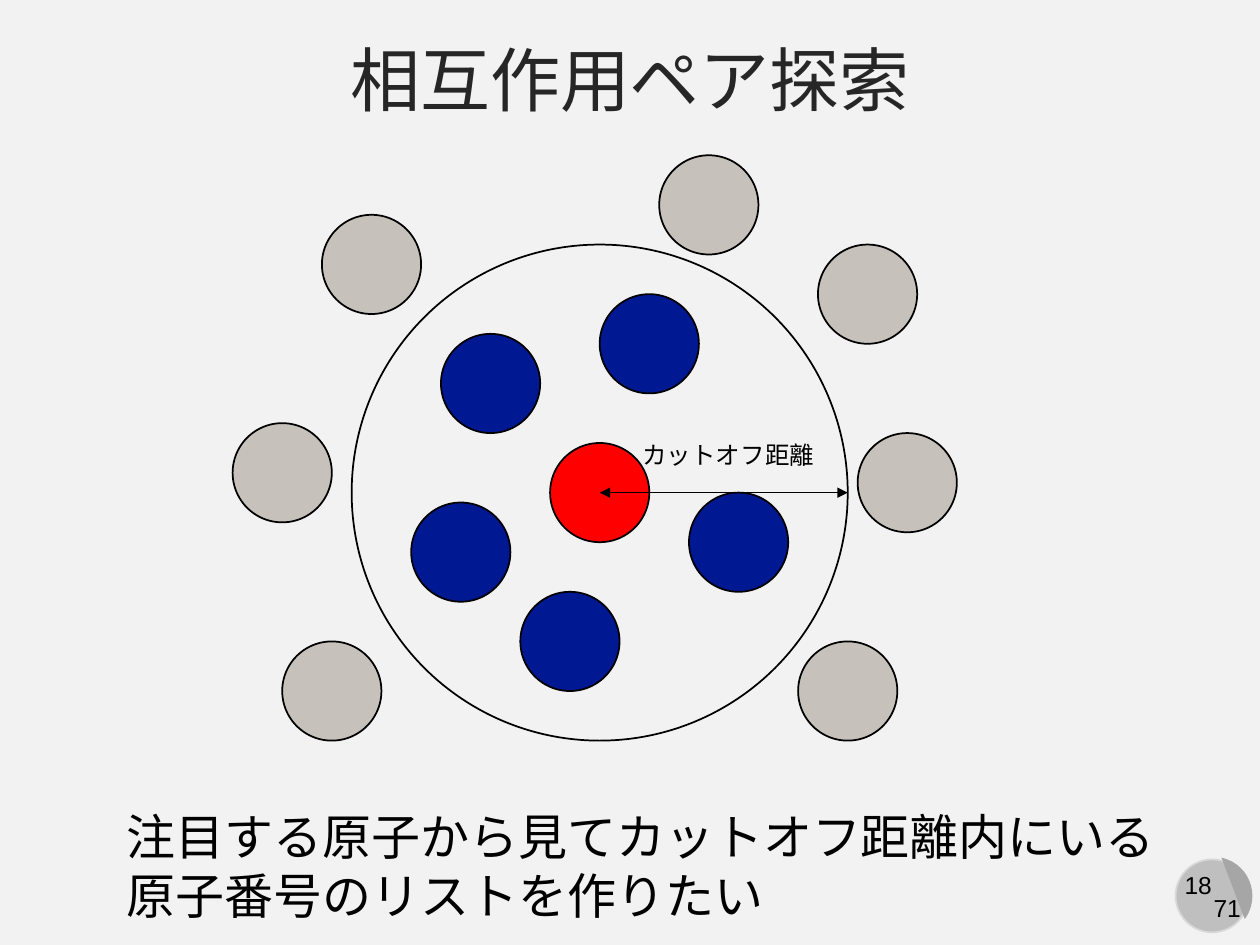
"""Build a slide that explains the search for interacting atom pairs within a cutoff distance."""
from dataclasses import dataclass

from lxml.etree import SubElement
from pptx import Presentation
from pptx.dml.color import RGBColor
from pptx.enum.shapes import MSO_CONNECTOR as Connector, MSO_SHAPE as Shape
from pptx.enum.text import MSO_ANCHOR as Anchor, PP_ALIGN as Align
from pptx.oxml.ns import qn
from pptx.util import Cm, Inches, Pt


@dataclass(frozen=True)
class Theme:
    font: str = "Arial"
    background: str = "F2F2F2"
    title: str = "262626"
    ink: str = "000000"
    focus: str = "FF0000"
    neighbour: str = "011893"
    outsider: str = "C6C1BA"
    badge: str = "BFBFBF"
    badge_edge: str = "D9D9D9"
    badge_half: str = "A6A6A6"
    title_size: int = 40
    body_size: int = 28
    small_size: int = 14


THEME = Theme()
TITLE = "相互作用ペア探索"
MESSAGE = "注目する原子から見てカットオフ距離内にいる原子番号のリストを作りたい"
CUTOFF_LABEL = "カットオフ距離"
PAGE_LABELS = [("18", 9.29, 6.86, 0.44), ("71", 9.53, 7.04, 0.42)]

UNIT = Cm(0.2)
CENTRE_X, CENTRE_Y = Inches(4.76), Inches(3.91)
ATOM_RADIUS, CUTOFF_RADIUS = 5, 25
NEIGHBOURS = [(5, -15), (-11, -11), (14, 5), (-3, 15), (-14, 6)]
OUTSIDERS = [(-23, -23), (11, -29), (27, -20), (-32, -2), (-27, 20), (31, -1), (25, 20)]


def colour(code):
    return RGBColor.from_string(code)


def style_text(frame, text, size, code, align):
    frame.text = text
    paragraph = frame.paragraphs[0]
    paragraph.alignment = align
    paragraph.font.name = THEME.font
    paragraph.font.size = Pt(size)
    paragraph.font.color.rgb = colour(code)


def add_text(slide, text, left, top, width, height, size, align=Align.LEFT, wrap=False):
    box = slide.shapes.add_textbox(*map(Inches, (left, top, width, height)))
    box.text_frame.word_wrap = wrap
    style_text(box.text_frame, text, size, THEME.ink, align)


def add_shape(slide, kind, left, top, size, fill=None, line=None):
    shape = slide.shapes.add_shape(kind, left, top, size, size)
    shape.shadow.inherit = False
    if fill:
        shape.fill.solid()
        shape.fill.fore_color.rgb = colour(fill)
    else:
        shape.fill.background()
    if line:
        shape.line.color.rgb = colour(line)
        shape.line.width = Pt(1)
    else:
        shape.line.fill.background()
    return shape


def add_circle(slide, column, row, radius, fill=None):
    left = CENTRE_X + (column - radius) * UNIT
    top = CENTRE_Y + (row - radius) * UNIT
    add_shape(slide, Shape.OVAL, left, top, 2 * radius * UNIT, fill, THEME.ink)


def add_double_arrow(slide, start, end):
    arrow = slide.shapes.add_connector(Connector.STRAIGHT, *start, *end)
    arrow.line.color.rgb = colour(THEME.ink)
    arrow.line.width = Pt(0.5)
    for tag in ("a:headEnd", "a:tailEnd"):
        SubElement(arrow.line._get_or_add_ln(), qn(tag), type="triangle")
    SubElement(arrow._element.spPr, qn("a:effectLst"))


def add_page_badge(slide):
    add_shape(slide, Shape.OVAL, Inches(9.33), Inches(6.82), Inches(0.58),
              THEME.badge, THEME.badge_edge)
    half = add_shape(slide, Shape.CHORD, Inches(9.32), Inches(6.8), Inches(0.62),
                     THEME.badge_half)
    half.rotation = 255
    for index, degrees in enumerate((27, 141.42)):
        half.adjustments[index] = degrees * 0.6
    for text, left, top, width in PAGE_LABELS:
        add_text(slide, text, left, top, width, 0.34, THEME.small_size, Align.CENTER)


def add_title(slide, width):
    title = slide.shapes.title
    title.left, title.top, title.width, title.height = 0, Inches(0.21), width, Inches(0.82)
    title.text_frame.vertical_anchor = Anchor.MIDDLE
    style_text(title.text_frame, TITLE, THEME.title_size, THEME.title, Align.CENTER)


def add_atoms(slide):
    add_circle(slide, 0, 0, CUTOFF_RADIUS)
    groups = [([(0, 0)], THEME.focus), (NEIGHBOURS, THEME.neighbour),
              (OUTSIDERS, THEME.outsider)]
    for places, fill in groups:
        for column, row in places:
            add_circle(slide, column, row, ATOM_RADIUS, fill)


def main():
    presentation = Presentation()
    presentation.slide_width, presentation.slide_height = Inches(10), Inches(7.5)
    slide = presentation.slides.add_slide(presentation.slide_layouts[5])
    slide.background.fill.solid()
    slide.background.fill.fore_color.rgb = colour(THEME.background)
    add_page_badge(slide)
    add_title(slide, presentation.slide_width)
    add_atoms(slide)
    add_double_arrow(slide, (CENTRE_X, CENTRE_Y),
                     (CENTRE_X + CUTOFF_RADIUS * UNIT, CENTRE_Y))
    add_text(slide, CUTOFF_LABEL, 5, 3.44, 1.58, 0.34, THEME.small_size)
    add_text(slide, MESSAGE, 0.91, 6.35, 8.43, 1.04, THEME.body_size, wrap=True)
    presentation.save("out.pptx")


if __name__ == "__main__":
    main()
